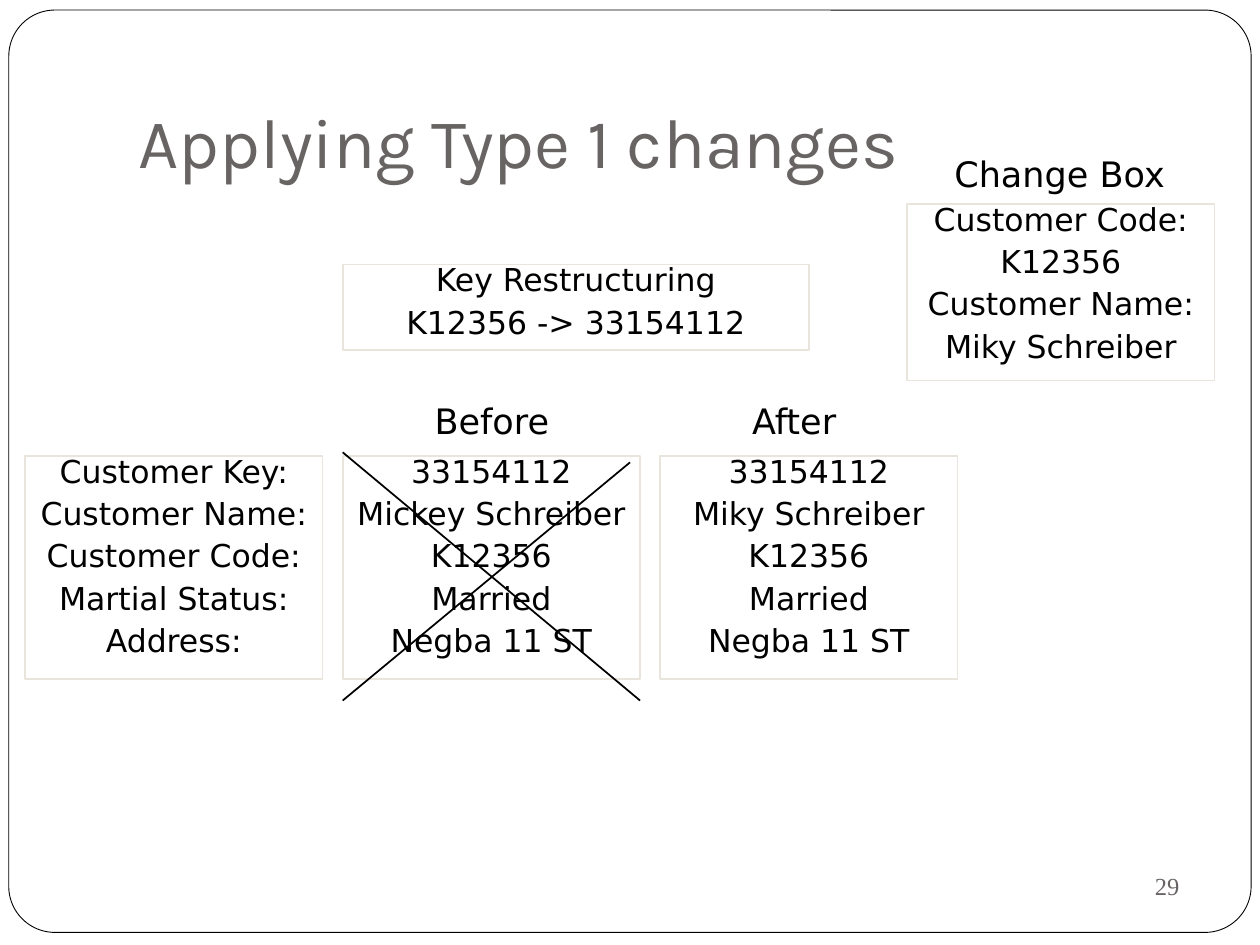
import pptx
import pptx.util
import pptx.dml.color
import pptx.enum.shapes
import pptx.enum.text
import lxml.etree
from pptx.oxml.ns import qn

In, Pt = pptx.util.Inches, pptx.util.Pt
RGB = pptx.dml.color.RGBColor.from_string
SHAPE = pptx.enum.shapes.MSO_SHAPE
ALIGN = pptx.enum.text.PP_ALIGN
ANCHOR = pptx.enum.text.MSO_ANCHOR
AUTO = pptx.enum.text.MSO_AUTO_SIZE
COLORS = {"page": "FFFFFF", "ink": "000000", "grey": "696464", "border": "E9E5DC"}

prs = pptx.Presentation()
prs.slide_width, prs.slide_height = In(10), In(7.5)
s = prs.slides.add_slide(prs.slide_layouts[5])


def write(sp, *lines, size=18, font="DejaVu Sans", color="ink", align=ALIGN.CENTER,
          anchor=ANCHOR.TOP, auto=AUTO.SHAPE_TO_FIT_TEXT, leading=0.7, before=50):
    """Fill sp with one paragraph per line; before is a percentage of the line."""
    tf = sp.text_frame
    tf.word_wrap, tf.auto_size, tf.vertical_anchor = True, auto, anchor
    for i, line in enumerate(lines):
        p = tf.paragraphs[0] if i == 0 else tf.add_paragraph()
        p.alignment, p.line_spacing, p.space_before = align, leading, Pt(0)
        spacing = p._p.pPr.find(qn("a:spcBef"))
        spacing.remove(spacing[0])
        lxml.etree.SubElement(spacing, qn("a:spcPct")).set("val", str(before * 1000))
        r = p.add_run()
        r.text = line
        r.font.size, r.font.name = Pt(size), font
        r.font.color.rgb = RGB(COLORS[color])


# Title on a rounded frame
title = s.shapes.title
title.left, title.top, title.width, title.height = In(1), In(0.3), In(8.5), In(1.25)
write(title, "Applying Type 1 changes", size=40, font="Karla", color="grey",
      align=ALIGN.LEFT, anchor=ANCHOR.BOTTOM, auto=AUTO.NONE, leading=1.0, before=0)
title.text_frame.margin_bottom = In(0.1)

frame = s.shapes.add_shape(SHAPE.ROUNDED_RECTANGLE, In(0.07), In(0.08), In(9.86), In(7.32))
frame.adjustments[0] = 0.05
frame.shadow.inherit = False
frame.fill.solid()
frame.fill.fore_color.rgb = RGB(COLORS["page"])
frame.line.color.rgb = RGB(COLORS["ink"])
frame.line.width = Pt(0.5)
title.element.addprevious(frame.element)

# Record columns: field names, before, after
left, pitch, col_w, row_top = 0.2, 2.52, 2.36, 3.62
cols = [left + i * pitch for i in range(3)]
records = [
    ("Customer Key:", "Customer Name:", "Customer Code:", "Martial Status:", "Address:"),
    ("33154112", "Mickey Schreiber", "K12356", "Married", "Negba 11 ST"),
    ("33154112", "Miky Schreiber", "K12356", "Married", "Negba 11 ST"),
]
boxes = [(x, row_top, col_w, 1.77, lines) for x, lines in zip(cols, records)]
boxes += [
    (7.2, 1.62, 2.44, 1.4,
     ("Customer Code:", "K12356", "Customer Name:", "Miky Schreiber")),
    (cols[1], 2.1, 3.7, 0.68, ("Key Restructuring", "K12356 -> 33154112")),
]
for x, y, w, h, lines in boxes:
    sp = s.shapes.add_shape(SHAPE.RECTANGLE, In(x), In(y), In(w), In(h))
    sp.shadow.inherit = False
    sp.fill.background()
    sp.line.color.rgb = RGB(COLORS["border"])
    sp.line.width = Pt(1)
    write(sp, *lines)

# Headings and slide number
heading = dict(size=20, align=ALIGN.LEFT, leading=1.0)
labels = [
    ("Before", 3.35, 3.12, 1.18, 0.44, heading),
    ("After", 5.87, 3.12, 1.18, 0.44, heading),
    ("Change Box", 7.19, 1.25, 2.44, 0.34, dict(size=20)),
    ("29", 6.75, 6.77, 2.71, 0.52,
     dict(size=14, font="Times New Roman", color="grey", align=ALIGN.RIGHT,
          anchor=ANCHOR.MIDDLE, auto=AUTO.NONE, leading=1.0, before=0)),
]
for text, x, y, w, h, style in labels:
    write(s.shapes.add_textbox(In(x), In(y), In(w), In(h)), text, **style)

# Cross striking out the old record
cross = s.shapes.add_group_shape()
for x1, y1, x2, y2 in [(cols[1], 3.59, cols[1] + col_w, 5.56), (5, 3.67, cols[1], 5.56)]:
    line = cross.shapes.add_connector(
        pptx.enum.shapes.MSO_CONNECTOR.STRAIGHT, In(x1), In(y1), In(x2), In(y2))
    line.line.color.rgb = RGB(COLORS["ink"])
    line.line.width = Pt(1)
    lxml.etree.SubElement(line.element.spPr, qn("a:effectLst"))

prs.save("out.pptx")
